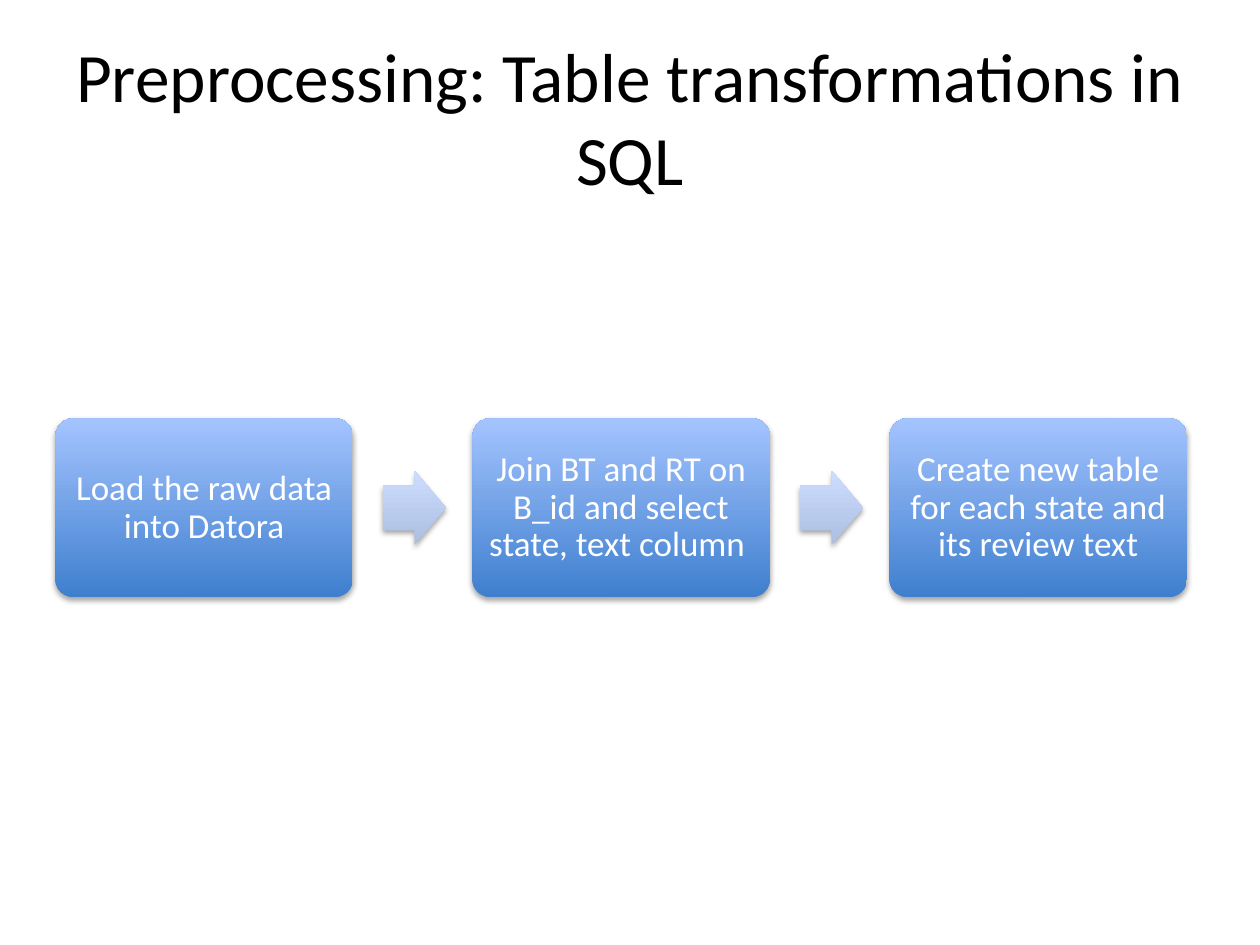
from lxml import etree
from pptx import Presentation
from pptx import util as u
from pptx.dml.color import RGBColor
from pptx.enum import shapes, text
from pptx.oxml.ns import qn

COLORS = {
    "title": "000000",
    "step_text": "FFFFFF",
    "step": ("3F7FCE", "A4C4FF"),
    "arrow": ("ADBFE1", "CCDDFF"),
    "shadow": "000000",
}
FONT = "Calibri"
STEPS = [
    "Load the raw data into Datora",
    "Join BT and RT on B_id and select state, text column ",
    "Create new table for each state and its review text",
]
ROW_LEFT, ROW_MIDDLE, PITCH = 0.44, 4.03, 3.31
STEP_SIZE = (2.36, 1.42)
ARROW_SIZE = (0.5, 0.59)
ARROW_OFFSET = 2.6


def write(frame, words, size, color, margin, line_spacing=1.0):
    frame.text = words
    settings = {
        "word_wrap": True,
        "auto_size": text.MSO_AUTO_SIZE.NONE,
        "vertical_anchor": text.MSO_ANCHOR.MIDDLE,
    }
    for side in ("left", "right", "top", "bottom"):
        settings[f"margin_{side}"] = u.Inches(margin)
    for name, value in settings.items():
        setattr(frame, name, value)
    para = frame.paragraphs[0]
    para.alignment = text.PP_ALIGN.CENTER
    para.line_spacing = line_spacing
    font = para.runs[0].font
    for name, value in {"name": FONT, "size": u.Pt(size)}.items():
        setattr(font, name, value)
    font.color.rgb = RGBColor.from_string(color)


def add_shadow(shape):
    """Give the shape a soft shadow straight below it."""
    shape.shadow.inherit = False
    effects = shape.element.spPr.find(qn("a:effectLst"))
    shadow = etree.SubElement(
        effects, qn("a:outerShdw"), blurRad=str(u.Pt(3.1)), dist=str(u.Pt(1.8)),
        dir="5400000", rotWithShape="0")
    color = etree.SubElement(shadow, qn("a:srgbClr"), val=COLORS["shadow"])
    etree.SubElement(color, qn("a:alpha"), val="35000")


def add_block(page, kind, left, size, gradient, adjustments):
    """Add a shaded shape centred on the row's middle line."""
    width, height = size
    box = page.shapes.add_shape(
        kind, u.Inches(left), u.Inches(ROW_MIDDLE - height / 2),
        u.Inches(width), u.Inches(height))
    for index, value in enumerate(adjustments):
        box.adjustments[index] = value
    box.fill.gradient()
    box.fill.gradient_angle = 90
    for stop, color in zip(box.fill.gradient_stops, gradient):
        stop.color.rgb = RGBColor.from_string(color)
    box.line.fill.background()
    add_shadow(box)
    return box


def add_title(page, words):
    title = page.shapes.title
    place = {"left": 0.5, "top": 0.3, "width": 9, "height": 1.25}
    for name, value in place.items():
        setattr(title, name, u.Inches(value))
    write(title.text_frame, words, 39.6, COLORS["title"], 0.1)


def add_step(page, left, words):
    box = add_block(page, shapes.MSO_SHAPE.ROUNDED_RECTANGLE, left, STEP_SIZE,
                    COLORS["step"], [0.1])
    write(box.text_frame, words, 20, COLORS["step_text"], 0.08, 0.9)


def add_arrow(page, left):
    add_block(page, shapes.MSO_SHAPE.RIGHT_ARROW, left, ARROW_SIZE,
              COLORS["arrow"], [0.6, 0.5])


def main():
    deck = Presentation()
    deck.slide_width, deck.slide_height = u.Inches(10), u.Inches(7.5)
    page = deck.slides.add_slide(deck.slide_layouts[5])
    add_title(page, "Preprocessing: Table transformations in SQL")
    for column, words in enumerate(STEPS):
        left = ROW_LEFT + column * PITCH
        add_step(page, left, words)
        if column < len(STEPS) - 1:
            add_arrow(page, left + ARROW_OFFSET)
    deck.save("out.pptx")


if __name__ == "__main__":
    main()
